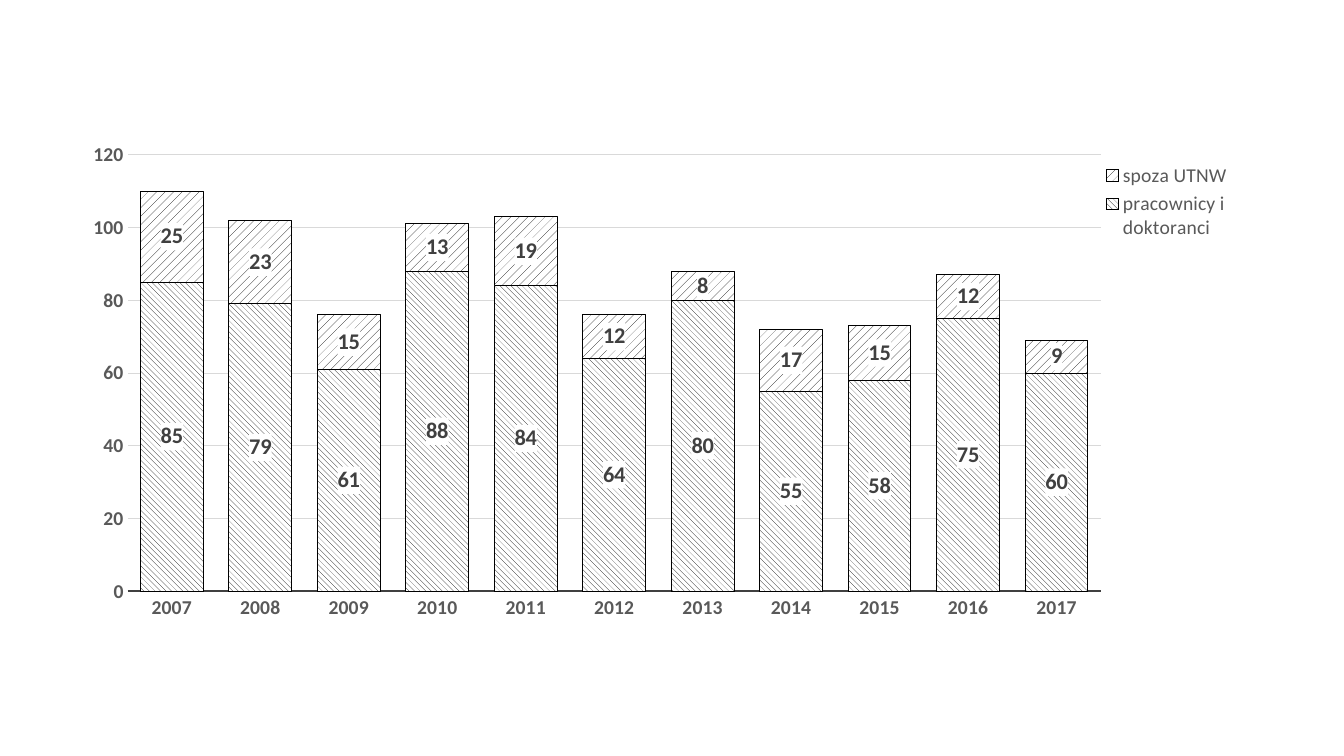
from dataclasses import dataclass

from pptx import Presentation
from pptx.chart.data import CategoryChartData
from pptx.dml.color import RGBColor
from pptx.enum.chart import XL_CHART_TYPE, XL_LABEL_POSITION, XL_LEGEND_POSITION, XL_TICK_MARK
from pptx.enum.dml import MSO_PATTERN
from pptx.oxml import parse_xml
from pptx.oxml.ns import nsdecls, qn
from pptx.util import Pt

STACKED = XL_CHART_TYPE.COLUMN_STACKED
CENTER = XL_LABEL_POSITION.CENTER
LEGEND_RIGHT = XL_LEGEND_POSITION.RIGHT
NO_TICK = XL_TICK_MARK.NONE
DOWN_STRIPES = MSO_PATTERN.WIDE_DOWNWARD_DIAGONAL
LIGHT_PATTERN = MSO_PATTERN.PERCENT_20


@dataclass(frozen=True)
class Theme:
    font: str = "Calibri"
    black: str = "000000"
    white: str = "FFFFFF"
    muted: str = "595959"
    dark: str = "404040"
    grid: str = "D9D9D9"
    axis_size: int = 14
    label_size: int = 16


THEME = Theme()
YEARS = [str(year) for year in range(2007, 2018)]
SERIES = [
    ("pracownicy i doktoranci", DOWN_STRIPES, [85, 79, 61, 88, 84, 64, 80, 55, 58, 75, 60]),
    ("spoza UTNW", LIGHT_PATTERN, [25, 23, 15, 13, 19, 12, 8, 17, 15, 12, 9]),
]


def color(value):
    return RGBColor.from_string(value)


def style_font(font, size, value, bold=False):
    font.name = THEME.font
    font.size = Pt(size)
    font.bold = bold
    font.color.rgb = color(value)


def style_line(line, value, width):
    line.color.rgb = color(value)
    line.width = Pt(width)


def set_layout(element, index, bounds, inner=False):
    """Place a chart part by fractions of the chart: left, top, width, height."""
    old = element.find(qn("c:layout"))
    if old is not None:
        element.remove(old)
    target = '<c:layoutTarget val="inner"/>' if inner else ""
    modes = '<c:xMode val="edge"/><c:yMode val="edge"/>'
    sizes = "".join(f'<c:{key} val="{value}"/>' for key, value in zip("xywh", bounds))
    element.insert(index, parse_xml(
        f'<c:layout {nsdecls("c")}><c:manualLayout>{target}{modes}{sizes}'
        "</c:manualLayout></c:layout>"))


def style_series(series, pattern):
    fill = series.format.fill
    fill.patterned()
    fill.pattern = pattern
    fill.fore_color.rgb = color(THEME.black)
    fill.back_color.rgb = color(THEME.white)
    style_line(series.format.line, THEME.black, 0.75)

    # Bold values on a white ground
    labels = series.data_labels
    labels.show_value = True
    labels.position = CENTER
    style_font(labels.font, THEME.label_size, THEME.dark, bold=True)
    ground = parse_xml(
        f'<c:spPr {nsdecls("c", "a")}><a:solidFill><a:srgbClr val="{THEME.white}"/>'
        "</a:solidFill></c:spPr>")
    labels._element.find(qn("c:txPr")).addprevious(ground)


def style_axes(chart):
    years, counts = chart.category_axis, chart.value_axis
    for axis in (years, counts):
        axis.major_tick_mark = axis.minor_tick_mark = NO_TICK
        style_font(axis.tick_labels.font, THEME.axis_size, THEME.muted, bold=True)
    style_line(years.format.line, THEME.dark, 1.25)
    counts.format.line.fill.background()
    counts.minimum_scale, counts.maximum_scale, counts.major_unit = 0, 120, 20
    counts.has_major_gridlines = True
    style_line(counts.major_gridlines.format.line, THEME.grid, 0.75)


def add_yearly_chart(page, left, top, width, height):
    data = CategoryChartData()
    data.categories = YEARS
    for name, _, values in SERIES:
        data.add_series(name, values)
    chart = page.shapes.add_chart(
        STACKED, Pt(left), Pt(top), Pt(width), Pt(height), data).chart
    chart.has_title = False
    style_font(chart.font, THEME.label_size, THEME.black)

    # Columns and axes
    plot = chart.plots[0]
    plot.gap_width = 41
    plot.overlap = 100
    for series, (_, pattern, _) in zip(plot.series, SERIES):
        style_series(series, pattern)
    style_axes(chart)
    set_layout(chart._chartSpace.chart.plotArea, 0, (0.05, 0.04, 0.81, 0.88), inner=True)

    # Legend
    chart.has_legend = True
    legend = chart.legend
    legend.position = LEGEND_RIGHT
    legend.include_in_layout = False
    style_font(legend.font, THEME.axis_size, THEME.muted)
    set_layout(legend._element, 1, (0.85, 0.05, 0.13, 0.17))


deck = Presentation()
deck.slide_width, deck.slide_height = Pt(960), Pt(540)
page = deck.slides.add_slide(deck.slide_layouts[6])
add_yearly_chart(page, 48.25, 96.5, 858.25, 354.25)
deck.save("out.pptx")
